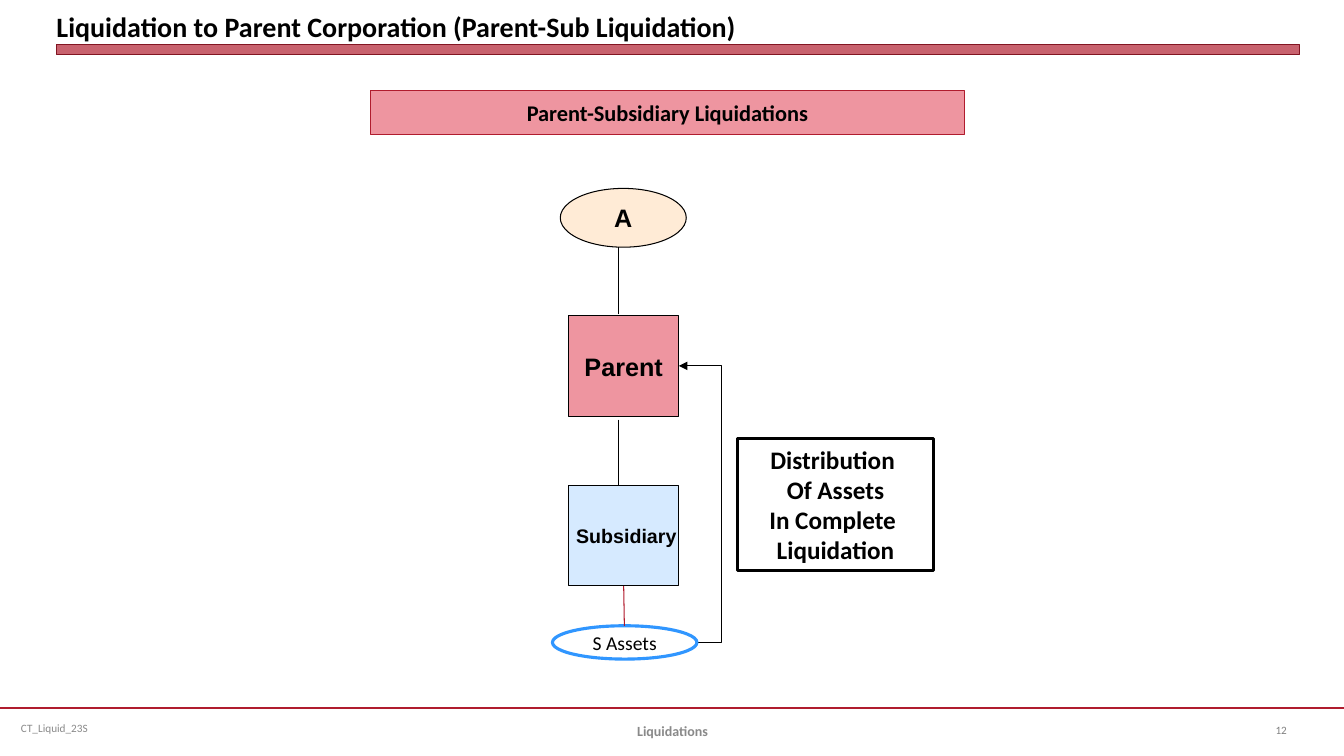
from lxml import etree
from pptx import Presentation
from pptx.dml.color import RGBColor
from pptx.enum.shapes import MSO_CONNECTOR, MSO_SHAPE
from pptx.enum.text import MSO_ANCHOR, MSO_AUTO_SIZE, PP_ALIGN
from pptx.oxml.ns import qn
from pptx.util import Pt

RECTANGLE, OVAL = MSO_SHAPE.RECTANGLE, MSO_SHAPE.OVAL
STRAIGHT, ELBOW = MSO_CONNECTOR.STRAIGHT, MSO_CONNECTOR.ELBOW
LEFT, CENTER = PP_ALIGN.LEFT, PP_ALIGN.CENTER
MIDDLE, BOTTOM = MSO_ANCHOR.MIDDLE, MSO_ANCHOR.BOTTOM
NO_AUTOFIT = MSO_AUTO_SIZE.NONE

BLACK = RGBColor(0x00, 0x00, 0x00)
CRIMSON = RGBColor(0xB0, 0x1C, 0x2E)
DARK_CRIMSON = RGBColor(0x82, 0x15, 0x22)
ASSET_RED = RGBColor(0xB0, 0x18, 0x2A)
PINK = RGBColor(0xEE, 0x95, 0xA0)
CREAM = RGBColor(0xFF, 0xEB, 0xD6)
PALE_BLUE = RGBColor(0xD6, 0xEA, 0xFF)
BLUE = RGBColor(0x30, 0x96, 0xFF)
FOOTER_GRAY = RGBColor(0x89, 0x89, 0x89)
NUMBER_GRAY = RGBColor(0x80, 0x80, 0x80)


def write_text(shape, text, size, font="Calibri", color=BLACK, bold=True,
               align=CENTER, anchor=MIDDLE, wrap=True):
    """Fill a shape with uniformly formatted text."""
    frame = shape.text_frame
    frame.text = text
    frame.auto_size = NO_AUTOFIT
    frame.word_wrap = wrap
    frame.vertical_anchor = anchor
    for paragraph in frame.paragraphs:
        paragraph.alignment = align
        for run in paragraph.runs:
            run.font.name = font
            run.font.size = Pt(size)
            run.font.bold = bold
            run.font.color.rgb = color


def paint(shape, fill, line, width):
    """Set the fill and outline of a shape."""
    if fill is None:
        shape.fill.background()
    else:
        shape.fill.solid()
        shape.fill.fore_color.rgb = fill
    shape.line.color.rgb = line
    shape.line.width = Pt(width)


def place(shape, box):
    """Move and size a shape to a box given in points."""
    shape.left, shape.top, shape.width, shape.height = map(Pt, box)


def add_node(slide, kind, box, fill, line=BLACK, width=0.75):
    """Add a flat preset shape."""
    shape = slide.shapes.add_shape(kind, *map(Pt, box))
    shape.shadow.inherit = False
    paint(shape, fill, line, width)
    return shape


def add_label(slide, box, text, size, **style):
    """Add a text box."""
    write_text(slide.shapes.add_textbox(*map(Pt, box)), text, size, **style)


def add_line(slide, start, end, color=BLACK, width=0.75, kind=STRAIGHT):
    """Add a connector without a shadow."""
    connector = slide.shapes.add_connector(kind, *map(Pt, start + end))
    connector.line.color.rgb = color
    connector.line.width = Pt(width)
    etree.SubElement(connector._element.spPr, qn("a:effectLst"))
    return connector


def add_return_arrow(slide, start, end, bend_x):
    """Add an elbow arrow that runs out to bend_x before turning back."""
    connector = add_line(slide, start, end, kind=ELBOW)
    properties = connector._element.spPr
    ratio = (bend_x - start[0]) / (end[0] - start[0])
    guides = properties.find(qn("a:prstGeom")).get_or_add_avLst()
    etree.SubElement(guides, qn("a:gd"), name="adj1",
                     fmla=f"val {round(ratio * 100000)}")
    etree.SubElement(properties.find(qn("a:ln")), qn("a:tailEnd"),
                     type="triangle")


def add_title(slide):
    """Format the title placeholder and add the bar below it."""
    title = slide.shapes.title
    place(title, (40.3, 0, 888, 31))
    write_text(title, "Liquidation to Parent Corporation (Parent-Sub Liquidation)",
               20, align=LEFT, anchor=BOTTOM)
    frame = title.text_frame
    frame.margin_left = frame.margin_right = Pt(0)
    frame.margin_top = frame.margin_bottom = Pt(0)
    bar = add_node(slide, RECTANGLE, (40.3, 32, 888, 7), CRIMSON, DARK_CRIMSON, 0)
    color = bar._element.spPr.find(qn("a:solidFill"))[0]
    etree.SubElement(color, qn("a:alpha"), val="69000")


def add_heading(slide):
    """Turn the body placeholder into the pink heading band."""
    heading = slide.placeholders[1]
    place(heading, (264.8, 64.8, 424, 31))
    paint(heading, PINK, CRIMSON, 0.75)
    write_text(heading, "Parent-Subsidiary Liquidations", 16)
    paragraph = heading.text_frame.paragraphs[0]
    paragraph.space_before = Pt(3)
    properties = paragraph._p.get_or_add_pPr()
    properties.set("marL", "0")
    properties.set("indent", "0")
    etree.SubElement(properties, qn("a:buNone"))


def add_diagram(slide):
    """Draw the ownership chain and the distribution of assets."""
    parent = add_node(slide, RECTANGLE, (406, 225.4, 79, 72), PINK)
    write_text(parent, " Parent ", 18, "Arial", wrap=False)
    owner = add_node(slide, OVAL, (400.2, 134.6, 90, 42), CREAM)
    write_text(owner, "A", 18, "Arial", wrap=False)
    add_line(slide, (442, 224.6), (442, 176.5))
    add_line(slide, (442, 299.8), (442, 354))
    add_return_arrow(slide, (497.8, 458.8), (485, 261.4), 515.5)
    subsidiary = add_node(slide, RECTANGLE, (406, 346.6, 79, 72), PALE_BLUE)
    write_text(subsidiary, " Subsidiary", 14, "Arial", wrap=False)
    assets = add_node(slide, OVAL, (394.6, 447, 103.2, 23.8), None, BLUE, 2.25)
    write_text(assets, "S Assets", 14, bold=False)
    add_line(slide, (445.5, 418.6), (446, 447), ASSET_RED)
    note = add_node(slide, RECTANGLE, (527, 313.2, 139.6, 94.4), None, width=2)
    write_text(note, "Distribution \nOf Assets\nIn Complete \nLiquidation", 18)


def add_footer(slide):
    """Add the footer rule and its three labels."""
    add_line(slide, (0, 505.6), (960, 505.6), CRIMSON, 1.25)
    add_label(slide, (7.9, 505.6, 248, 29), "CT_Liquid_23S", 8,
              color=FOOTER_GRAY, bold=False, align=LEFT)
    add_label(slide, (328.4, 507.6, 304, 29), "Liquidations", 10,
              color=FOOTER_GRAY)
    add_label(slide, (904, 507, 48, 29), "12", 8,
              color=NUMBER_GRAY, bold=False, align=LEFT)


def main():
    """Build and save the slide."""
    presentation = Presentation()
    presentation.slide_width, presentation.slide_height = Pt(960), Pt(540)
    slide = presentation.slides.add_slide(presentation.slide_layouts[1])
    add_title(slide)
    add_heading(slide)
    add_diagram(slide)
    add_footer(slide)
    presentation.save("out.pptx")


if __name__ == "__main__":
    main()
